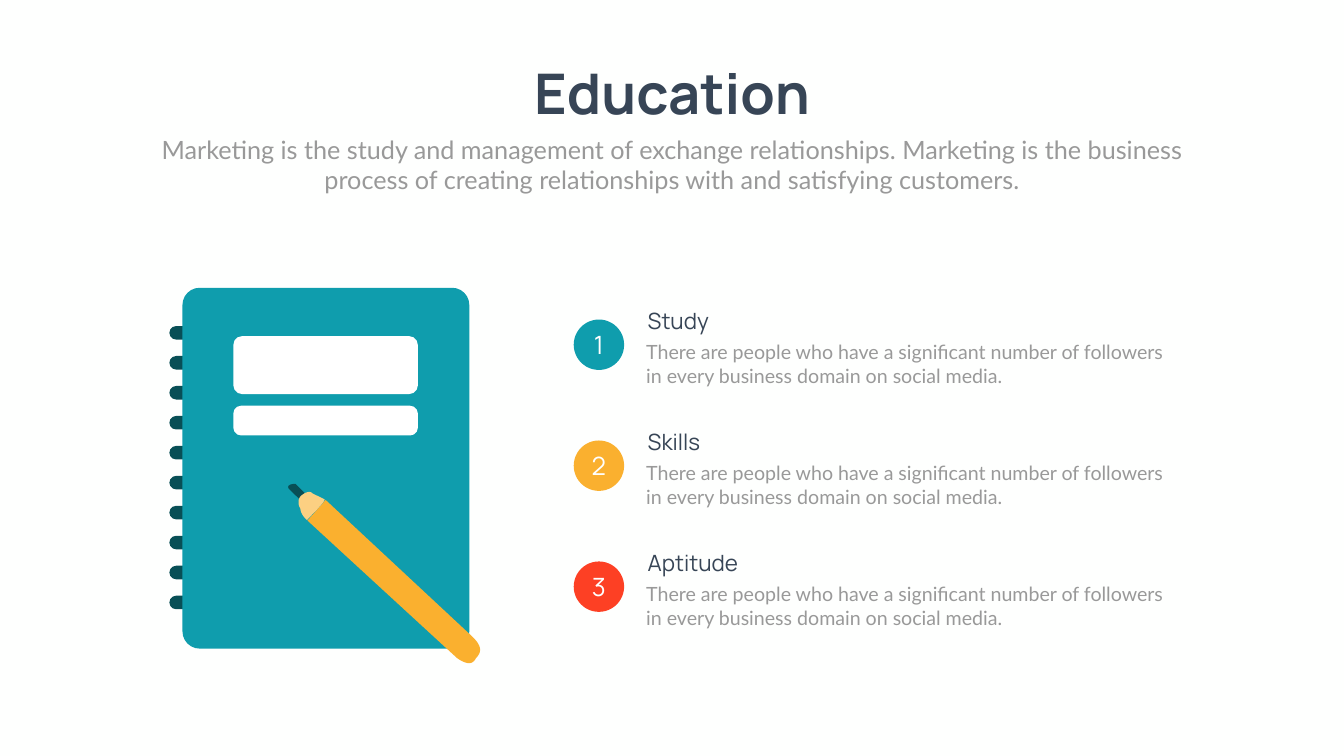
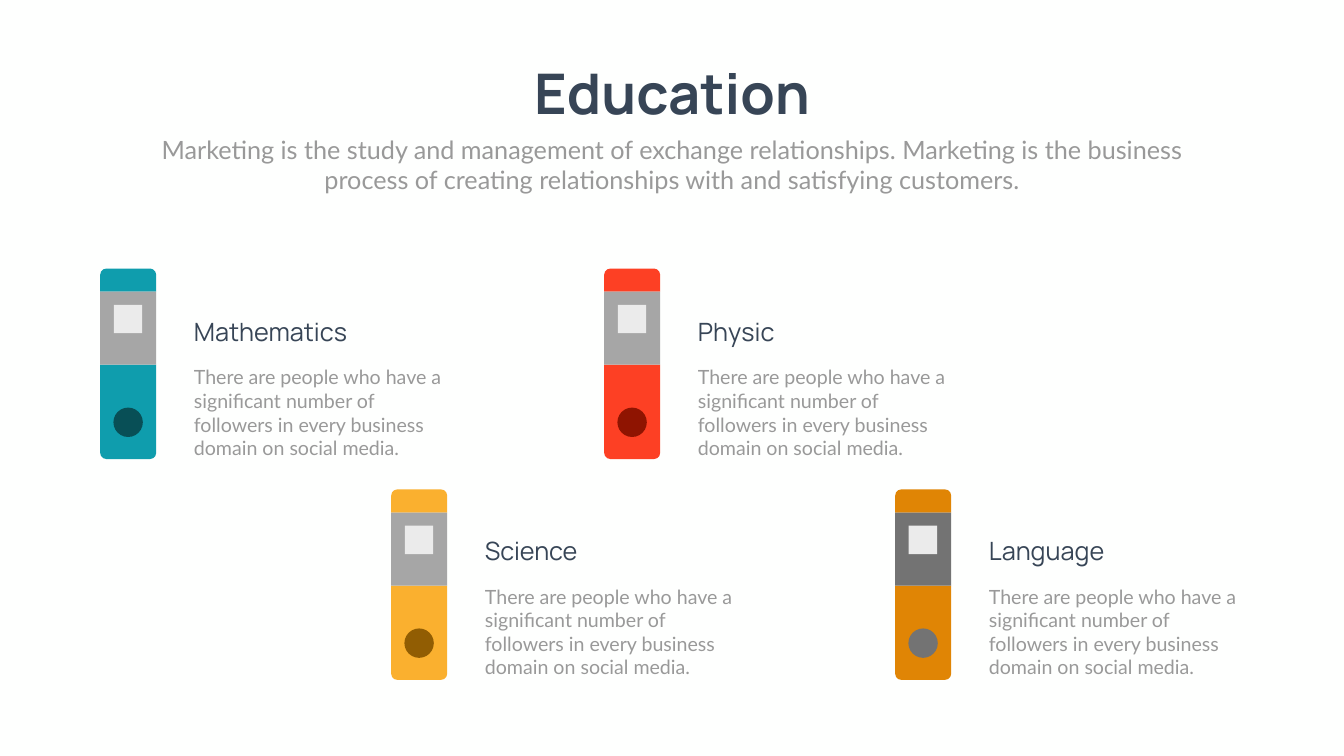
from collections import namedtuple
from dataclasses import dataclass

from pptx import Presentation
from pptx.dml.color import RGBColor
from pptx.enum.shapes import MSO_SHAPE
from pptx.enum.text import MSO_ANCHOR, MSO_AUTO_SIZE, PP_ALIGN
from pptx.util import Pt

Box = namedtuple("Box", "left top width height")


@dataclass(frozen=True)
class Theme:
    background: str = "FEFFFE"
    white: str = "FFFFFF"
    navy: str = "374556"
    body_gray: str = "999999"
    band_gray: str = "A6A6A6"
    dark_gray: str = "737373"
    pale_gray: str = "EBEBEB"
    teal: str = "0F9DAD"
    dark_teal: str = "084F56"
    yellow: str = "FAB02F"
    light_yellow: str = "FCD082"
    brown: str = "915D03"
    red: str = "FD4024"
    dark_red: str = "8F1401"
    orange: str = "E08505"
    heading_font: str = "Manrope"
    body_font: str = "Lato"
    title_size: int = 80
    large_size: int = 36
    heading_size: int = 32
    body_size: int = 28


THEME = Theme()
SLIDE_WIDTH, SLIDE_HEIGHT = 1919.52, 1080
SUBTITLE = ("Marketing is the study and management of exchange relationships. "
            "Marketing is the business process of creating relationships with "
            "and satisfying customers.")
BODY = ("There are people who have a significant number of followers in every "
        "business domain on social media.")


# Shared helpers

def inside(box, left, top, width, height):
    """Place a box relative to the corner of another one."""
    return Box(box.left + left, box.top + top, width, height)


def paint(shape, color):
    shape.shadow.inherit = False
    shape.fill.solid()
    shape.fill.fore_color.rgb = RGBColor.from_string(color)
    shape.line.fill.background()
    return shape


def add_preset(shapes, kind, box, color, adjustments=()):
    shape = shapes.add_shape(kind, *(Pt(length) for length in box))
    for index, value in enumerate(adjustments):
        shape.adjustments[index] = value
    return paint(shape, color)


def curve_points(start, curve, steps=12):
    """Sample a cubic curve given as two control points and an end point."""
    x1, y1, x2, y2, x3, y3 = curve
    for step in range(1, steps + 1):
        t = step / steps
        u = 1 - t
        yield tuple(u**3 * a + 3 * u * u * t * b + 3 * u * t * t * c + t**3 * d
                    for a, b, c, d in zip(start, (x1, y1), (x2, y2), (x3, y3)))


def add_outline(shapes, box, start, segments, color):
    """Draw a closed outline; a pair is a line, six numbers are a curve."""
    points = [start]
    for segment in segments:
        if len(segment) == 2:
            points.append(segment)
        else:
            points.extend(curve_points(points[-1], segment))
    corners = [(Pt(box.left + x), Pt(box.top + y)) for x, y in points]
    builder = shapes.build_freeform(*corners[0])
    builder.add_line_segments(corners[1:], close=True)
    return paint(builder.convert_to_shape(), color)


def write(shape, text, font_name, size, color, align=PP_ALIGN.LEFT, bold=False):
    paragraph = shape.text_frame.paragraphs[0]
    paragraph.text = text
    paragraph.alignment = align
    font = paragraph.font
    font.name, font.size, font.bold = font_name, Pt(size), bold
    font.color.rgb = RGBColor.from_string(color)


def add_text(shapes, box, text, *style, wrap=True, **options):
    shape = shapes.add_textbox(*(Pt(length) for length in box))
    shape.text_frame.word_wrap = wrap
    shape.text_frame.auto_size = MSO_AUTO_SIZE.SHAPE_TO_FIT_TEXT
    write(shape, text, *style, **options)


def add_heading(shapes, box, text, size):
    add_text(shapes, box, text, THEME.heading_font, size, THEME.navy)


def add_body(shapes, box):
    add_text(shapes, box, BODY, THEME.body_font, THEME.body_size, THEME.body_gray)


def new_slide(presentation):
    """Blank slide with the shared background, title and subtitle."""
    slide = presentation.slides.add_slide(presentation.slide_layouts[6])
    slide.background.fill.solid()
    slide.background.fill.fore_color.rgb = RGBColor.from_string(THEME.background)
    add_text(slide.shapes, Box(743, 80.6, 434, 104.4), "Education",
             THEME.heading_font, THEME.title_size, THEME.navy,
             wrap=False, align=PP_ALIGN.CENTER, bold=True)
    add_text(slide.shapes, Box(210.2, 187.9, 1499, 94.3), SUBTITLE,
             THEME.body_font, THEME.large_size, THEME.body_gray,
             align=PP_ALIGN.CENTER)
    return slide


# Slide 1: notebook and numbered list

def add_notebook(slide, box):
    # Spiral rings behind the cover
    rings = slide.shapes.add_group_shape()
    for index in range(10):
        ring = inside(box, 0, 54.7 + 42.8 * index, 64.1, 19.4)
        add_preset(rings.shapes, MSO_SHAPE.ROUNDED_RECTANGLE, ring,
                   THEME.dark_teal, [0.5])
    # Cover
    cover = inside(box, 18.7, 0, box.width - 18.7, box.height)
    add_preset(slide.shapes, MSO_SHAPE.ROUNDED_RECTANGLE, cover, THEME.teal, [0.06])
    add_pencil(slide, box)
    # Cover labels
    for top, height, rounding in ((69.1, 82.8, 0.15), (168.5, 42.5, 0.26)):
        add_preset(slide.shapes, MSO_SHAPE.ROUNDED_RECTANGLE,
                   inside(box, 91.4, top, 263.5, height), THEME.white, [rounding])


def add_pencil(slide, box):
    # Body
    add_outline(slide.shapes, box, (437.8, 529.2), [
        (446.4, 520.6, 446.4, 511.9, 433.4, 499), (223.2, 303.1),
        (197.3, 332.6), (411.1, 529.2),
        (424.8, 538.6, 433.4, 538.6, 437.8, 529.2)], THEME.yellow)
    # Lead
    add_outline(slide.shapes, box, (171.4, 288), [
        (193, 308.9), (200.9, 301), (180, 280.1),
        (171.4, 280.1, 167, 283.7, 171.4, 288)], THEME.dark_teal)
    # Sharpened wood
    add_outline(slide.shapes, box, (196.6, 331.9), [
        (200.2, 327.6, 221.8, 306.7, 221.8, 302.4), (204.5, 293.8),
        (200.2, 288.7, 191.5, 293.8, 187.2, 298.1),
        (183.6, 302.4, 183.6, 310.3, 187.2, 315.4),
        (187.2, 324, 196.6, 331.9, 196.6, 331.9)], THEME.light_yellow)


def add_numbered_item(slide, box, number, heading, color):
    shapes = slide.shapes.add_group_shape().shapes
    badge = add_preset(shapes, MSO_SHAPE.OVAL, inside(box, 0, 21.6, 72, 72), color)
    badge.text_frame.vertical_anchor = MSO_ANCHOR.MIDDLE
    write(badge, str(number), THEME.heading_font, THEME.large_size, THEME.white,
          align=PP_ALIGN.CENTER)
    add_heading(shapes, inside(box, 98.6, 0, 385.2, 46.1), heading,
                THEME.heading_size)
    add_body(shapes, inside(box, 96.5, 47.5, 761, 74.9))


def build_notebook_slide(presentation):
    slide = new_slide(presentation)
    add_notebook(slide, Box(241.9, 411.1, 428.4, 515.5))
    items = (("Study", THEME.teal), ("Skills", THEME.yellow), ("Aptitude", THEME.red))
    for index, (heading, color) in enumerate(items):
        box = Box(819.4, 434.9 + 172.8 * index, 857.5, 122.4)
        add_numbered_item(slide, box, index + 1, heading, color)


# Slide 2: binders with subjects

def add_binder(slide, box, color, band_color, hole_color):
    shapes = slide.shapes.add_group_shape().shapes
    # Lower part and top cap, rounded at their outer ends
    add_preset(shapes, MSO_SHAPE.ROUND_2_SAME_RECTANGLE,
               inside(box, 0, 137.5, box.width, box.height - 137.5), color, [0, 0.11])
    add_preset(shapes, MSO_SHAPE.ROUND_2_SAME_RECTANGLE,
               inside(box, 0, 0, box.width, 33.1), color, [0.27, 0])
    # Band with its label window, and the finger hole
    add_preset(shapes, MSO_SHAPE.RECTANGLE,
               inside(box, 0, 33.1, box.width, 104.4), band_color)
    add_preset(shapes, MSO_SHAPE.RECTANGLE,
               inside(box, 19.4, 51.8, 40.6, 40.6), THEME.pale_gray)
    add_preset(shapes, MSO_SHAPE.OVAL, inside(box, 18.9, 198.7, 42, 42), hole_color)


def add_subject(slide, box, heading):
    shapes = slide.shapes.add_group_shape().shapes
    add_body(shapes, inside(box, 0, 70.6, 383, 143.3))
    add_heading(shapes, inside(box, 0, 0, 385.2, 51.1), heading, THEME.large_size)


def build_binder_slide(presentation):
    slide = new_slide(presentation)
    subjects = (
        ("Mathematics", THEME.teal, THEME.band_gray, THEME.dark_teal),
        ("Science", THEME.yellow, THEME.band_gray, THEME.brown),
        ("Physic", THEME.red, THEME.band_gray, THEME.dark_red),
        ("Language", THEME.orange, THEME.dark_gray, THEME.dark_gray),
    )
    # Subjects alternate between an upper and a lower row
    rows = ((383.6, 447.8), (699.1, 761))
    places = []
    for index, (heading, *colors) in enumerate(subjects):
        pair, row = divmod(index, 2)
        left = 143.1 + 719.8 * pair + 415.6 * row
        binder_top, text_top = rows[row]
        add_binder(slide, Box(left, binder_top, 80, 272.2), *colors)
        places.append((heading, Box(left + 126.8, text_top, 385.2, 213.9)))
    for heading, box in places:
        add_subject(slide, box, heading)


def main():
    presentation = Presentation()
    presentation.slide_width = Pt(SLIDE_WIDTH)
    presentation.slide_height = Pt(SLIDE_HEIGHT)
    build_notebook_slide(presentation)
    build_binder_slide(presentation)
    presentation.save("out.pptx")


if __name__ == "__main__":
    main()
